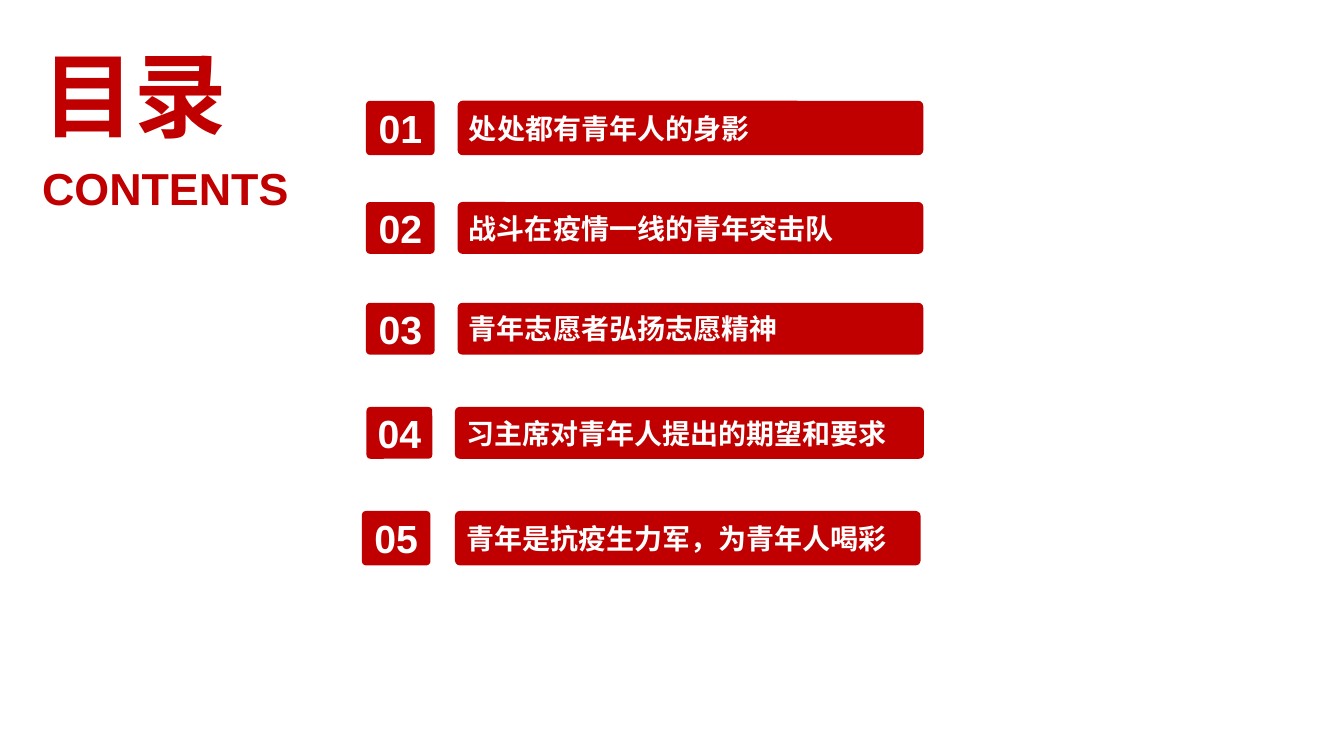
from pptx import Presentation
from pptx.dml.color import RGBColor
from pptx.enum.shapes import MSO_SHAPE
from pptx.enum.text import MSO_ANCHOR, MSO_AUTO_SIZE, PP_ALIGN
from pptx.util import Pt

ROUND = MSO_SHAPE.ROUNDED_RECTANGLE
MIDDLE, TOP = MSO_ANCHOR.MIDDLE, MSO_ANCHOR.TOP
LEFT, CENTER, JUSTIFY = PP_ALIGN.LEFT, PP_ALIGN.CENTER, PP_ALIGN.JUSTIFY
FIT, FIXED = MSO_AUTO_SIZE.SHAPE_TO_FIT_TEXT, MSO_AUTO_SIZE.NONE
COLORS = {"red": "C00000", "white": "FFFFFF"}
TITLE = {"size": 66, "color": "red", "align": JUSTIFY,
         "frame": {"word_wrap": True, "auto_size": FIT, "vertical_anchor": TOP}}
LABEL = {"size": 32, "color": "red", "align": LEFT,
         "frame": {"word_wrap": False, "auto_size": FIT, "vertical_anchor": TOP}}
BAR = {"size": 20, "color": "white", "align": LEFT,
       "frame": {"word_wrap": True, "auto_size": FIXED, "vertical_anchor": MIDDLE}}
SIDES = ("margin_left", "margin_top", "margin_right", "margin_bottom")
BADGE = {"size": 28, "color": "white", "align": CENTER,
         "frame": BAR["frame"] | dict.fromkeys(SIDES, 0)}
ITEMS = [
    ("处处都有青年人的身影", 72, 38.9, (261.4, 49), (326.9, 332.6)),
    ("战斗在疫情一线的青年突击队", 144.3, 37, (261.4, 49), (326.9, 332.6)),
    ("青年志愿者弘扬志愿精神", 216.3, 37, (261.4, 49), (326.9, 332.6)),
    ("习主席对青年人提出的期望和要求", 290.7, 37, (261.8, 47), (325, 335)),
    ("青年是抗疫生力军，为青年人喝彩", 365, 38.9, (258.5, 49), (325, 332.6)),
]


def rgb(name):
    """Return the named colour."""
    return RGBColor.from_string(COLORS[name])


def write(shape, text, style):
    """Put one styled line of text in a shape."""
    frame = shape.text_frame
    for key, value in style["frame"].items():
        setattr(frame, key, value)
    line = frame.paragraphs[0]
    line.alignment = style["align"]
    run = line.add_run()
    run.text = text
    font = {"name": "Arial", "size": Pt(style["size"]), "bold": True}
    for key, value in font.items():
        setattr(run.font, key, value)
    run.font.color.rgb = rgb(style["color"])


def add_box(slide, place, round_by, text, style):
    """Add a red rounded box with text."""
    box = slide.shapes.add_shape(ROUND, *map(Pt, place))
    box.adjustments[0] = round_by
    box.shadow.inherit = False
    box.fill.solid()
    box.fill.fore_color.rgb = rgb("red")
    box.line.fill.background()
    write(box, text, style)


def add_item(slide, num, text, top, height, badge, bar):
    """Add one numbered entry of the contents."""
    parts = [(badge, 0.076, f"{num:02}", BADGE), (bar, 0.091, text, BAR)]
    for (left, width), curve, words, style in parts:
        add_box(slide, (left, top, width, height), curve, words, style)


def add_head(slide):
    """Fill the title and add the label below it."""
    title = slide.shapes.title
    place = {"left": 23, "top": 23.8, "width": 166.3, "height": 87.1}
    for key, value in place.items():
        setattr(title, key, Pt(value))
    write(title, "目录", TITLE)
    label = slide.shapes.add_textbox(Pt(23), Pt(110.9), Pt(192.2), Pt(46))
    write(label, "CONTENTS", LABEL)


def main():
    """Build and save the contents slide."""
    deck = Presentation()
    deck.slide_width, deck.slide_height = Pt(960), Pt(540)
    slide = deck.slides.add_slide(deck.slide_layouts[5])
    add_head(slide)
    for num, item in enumerate(ITEMS, 1):
        add_item(slide, num, *item)
    deck.save("out.pptx")


if __name__ == "__main__":
    main()
